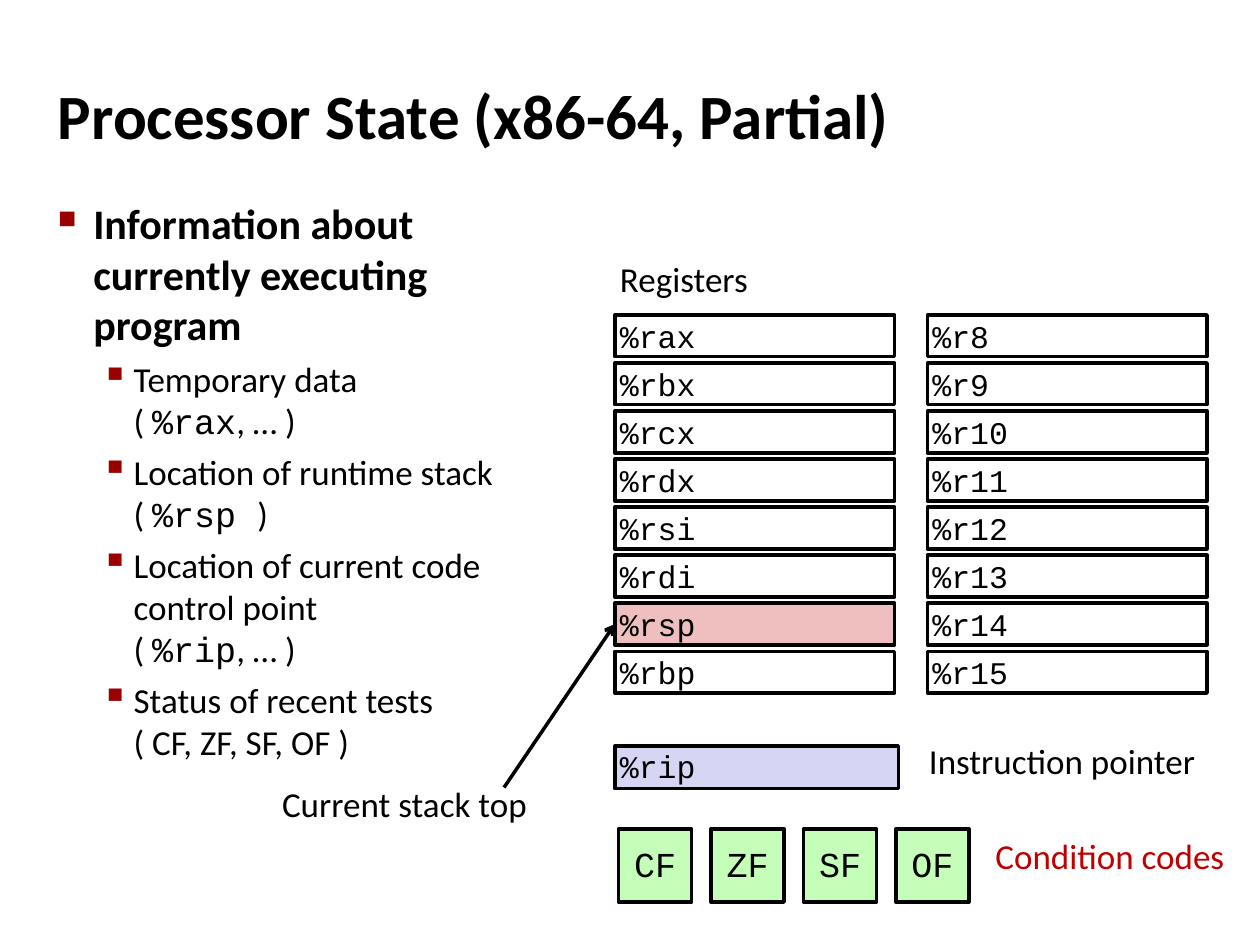
from collections import namedtuple

from lxml.etree import SubElement
from pptx import Presentation
from pptx.dml.color import RGBColor
from pptx.enum.shapes import MSO_CONNECTOR, MSO_SHAPE
from pptx.enum.text import MSO_ANCHOR as Anchor, MSO_AUTO_SIZE as AutoSize, PP_ALIGN as Align
from pptx.oxml.ns import qn
from pptx.util import Inches, Pt

BLACK = RGBColor(0x00, 0x00, 0x00)
BULLET_RED = RGBColor(0x99, 0x00, 0x00)
LABEL_RED = RGBColor(0xC0, 0x00, 0x00)
STACK_PINK = RGBColor(0xEF, 0xBF, 0xBF)
POINTER_BLUE = RGBColor(0xD6, 0xD6, 0xF4)
FLAG_GREEN = RGBColor(0xC5, 0xFE, 0xB8)
SANS, MONO = "Calibri", "Courier New"

Box = namedtuple("Box", "left top width height")

REGISTERS = [
    ["%rax", "%rbx", "%rcx", "%rdx", "%rsi", "%rdi", "%rsp", "%rbp"],
    ["%r8", "%r9", "%r10", "%r11", "%r12", "%r13", "%r14", "%r15"],
]
FLAGS = ["CF", "ZF", "SF", "OF"]
TOPIC = "Information about currently executing program"
DETAILS = [
    ("Temporary data", [("( ", SANS), ("%rax", MONO), (", … )", SANS)]),
    ("Location of runtime stack", [("( ", SANS), ("%rsp ", MONO), (")", SANS)]),
    ("Location of current code control point",
     [("( ", SANS), ("%rip", MONO), (", … )", SANS)]),
    ("Status of recent tests", [("( CF, ZF, SF, OF )", SANS)]),
]


def inches(box):
    return [Inches(value) for value in box]


def set_frame(frame, anchor=Anchor.TOP, wrap=True):
    frame.margin_left = frame.margin_right = Inches(0.04)
    frame.margin_top = frame.margin_bottom = Inches(0.04)
    frame.vertical_anchor = anchor
    frame.word_wrap = wrap


def style(para, size, name=SANS, color=BLACK, bold=False, align=Align.LEFT):
    para.alignment = align
    font = para.font
    font.size, font.name, font.bold = Pt(size), name, bold
    font.color.rgb = color


def add_bullet(para, char, percent, margin, hanging):
    props = para._p.get_or_add_pPr()
    props.set("marL", str(Inches(margin)))
    props.set("indent", str(-Inches(hanging)))
    color = SubElement(props, qn("a:buClr"))
    SubElement(color, qn("a:srgbClr"), val=str(BULLET_RED))
    SubElement(props, qn("a:buSzPct"), val=str(percent * 1000))
    SubElement(props, qn("a:buChar"), char=char)


def add_label(page, box, text, size=20, anchor=Anchor.TOP, wrap=False, **look):
    frame = page.shapes.add_textbox(*inches(box)).text_frame
    set_frame(frame, anchor, wrap)
    if not wrap:
        frame.auto_size = AutoSize.SHAPE_TO_FIT_TEXT
    frame.text = text
    style(frame.paragraphs[0], size, **look)


def add_cell(page, box, text, fill=None, size=18, align=Align.LEFT, spacing=None):
    """Outlined rectangle holding a register or flag name."""
    cell = page.shapes.add_shape(MSO_SHAPE.RECTANGLE, *inches(box))
    cell.shadow.inherit = False
    if fill is None:
        cell.fill.background()
    else:
        cell.fill.solid()
        cell.fill.fore_color.rgb = fill
    cell.line.color.rgb = BLACK
    cell.line.width = Pt(2)
    set_frame(cell.text_frame, Anchor.MIDDLE)
    cell.text_frame.text = text
    para = cell.text_frame.paragraphs[0]
    para.line_spacing = spacing
    style(para, size, MONO, align=align)
    return cell


def add_outline(page, box):
    """Bulleted topic with its details."""
    frame = page.shapes.add_textbox(*inches(box)).text_frame
    set_frame(frame)
    para = frame.paragraphs[0]
    para.text = TOPIC
    add_bullet(para, "■", 60, 0.28, 0.28)
    style(para, 24, bold=True)
    for heading, parts in DETAILS:
        para = frame.add_paragraph()
        para.level = 1
        para.space_before = Pt(5)
        add_bullet(para, "▪", 110, 0.6, 0.26)
        style(para, 20)
        para.add_run().text = heading
        para.add_line_break()
        for text, name in parts:
            span = para.add_run()
            span.text = text
            if name != SANS:
                span.font.name = name


def add_registers(page, box):
    """Grid of registers under a heading; returns the stack pointer's cell."""
    column_gap, row_gap = 0.26, 0.05
    columns, rows = len(REGISTERS), len(REGISTERS[0])
    width = (box.width - column_gap * (columns - 1)) / columns
    height = (box.height - row_gap * (rows - 1)) / rows
    add_label(page, Box(box.left, box.top - 0.5, width / 2, 0.42), "Registers")
    cells = {}
    for column, names in enumerate(REGISTERS):
        for row, name in enumerate(names):
            place = Box(box.left + column * (width + column_gap),
                        box.top + row * (height + row_gap), width, height)
            fill = STACK_PINK if name == "%rsp" else None
            cells[name] = add_cell(page, place, name, fill)
    return cells["%rsp"]


def add_pointer(page, box):
    add_cell(page, box, "%rip", POINTER_BLUE, spacing=0.95)
    label = Box(box.left + box.width + 0.17, box.top - 0.09, 2.26, 0.42)
    add_label(page, label, "Instruction pointer", align=Align.CENTER)


def add_flags(page, box):
    side = box.height
    pitch = (box.width - side) / (len(FLAGS) - 1)
    for index, name in enumerate(FLAGS):
        place = Box(box.left + index * pitch, box.top, side, side)
        add_cell(page, place, name, FLAG_GREEN, 20, Align.CENTER, 0.95)
    label = Box(box.left + box.width + 0.17, box.top, 1.97, 0.49)
    add_label(page, label, "Condition codes", wrap=True, color=LABEL_RED)


def add_stack_top(page, box, target):
    """Label with an arrow to the left side of the target cell."""
    add_label(page, box, "Current stack top", align=Align.CENTER)
    start_x, start_y = Inches(box.left + 1.83), Inches(box.top + 0.08)
    arrow = page.shapes.add_connector(
        MSO_CONNECTOR.STRAIGHT, start_x, start_y, target.left, target.top)
    arrow.end_connect(target, 1)
    arrow.line.color.rgb = BLACK
    arrow.line.width = Pt(2)
    SubElement(arrow.line._get_or_add_ln(), qn("a:tailEnd"), type="arrow")
    SubElement(arrow._element.spPr, qn("a:effectLst"))


def main():
    deck = Presentation()
    deck.slide_width, deck.slide_height = Inches(10), Inches(7.5)
    page = deck.slides.add_slide(deck.slide_layouts[6])
    add_label(page, Box(0.42, 0.28, 9.17, 1.25), "Processor State (x86-64, Partial)",
              36, Anchor.MIDDLE, wrap=True, bold=True)
    add_outline(page, Box(0.42, 1.53, 3.65, 5.94))
    stack_pointer = add_registers(page, Box(4.88, 2.5, 4.7, 3))
    add_pointer(page, Box(4.88, 5.92, 2.25, 0.34))
    add_flags(page, Box(4.91, 6.58, 2.78, 0.58))
    add_stack_top(page, Box(2.17, 6.17, 2.08, 0.42), stack_pointer)
    deck.save("out.pptx")


if __name__ == "__main__":
    main()
